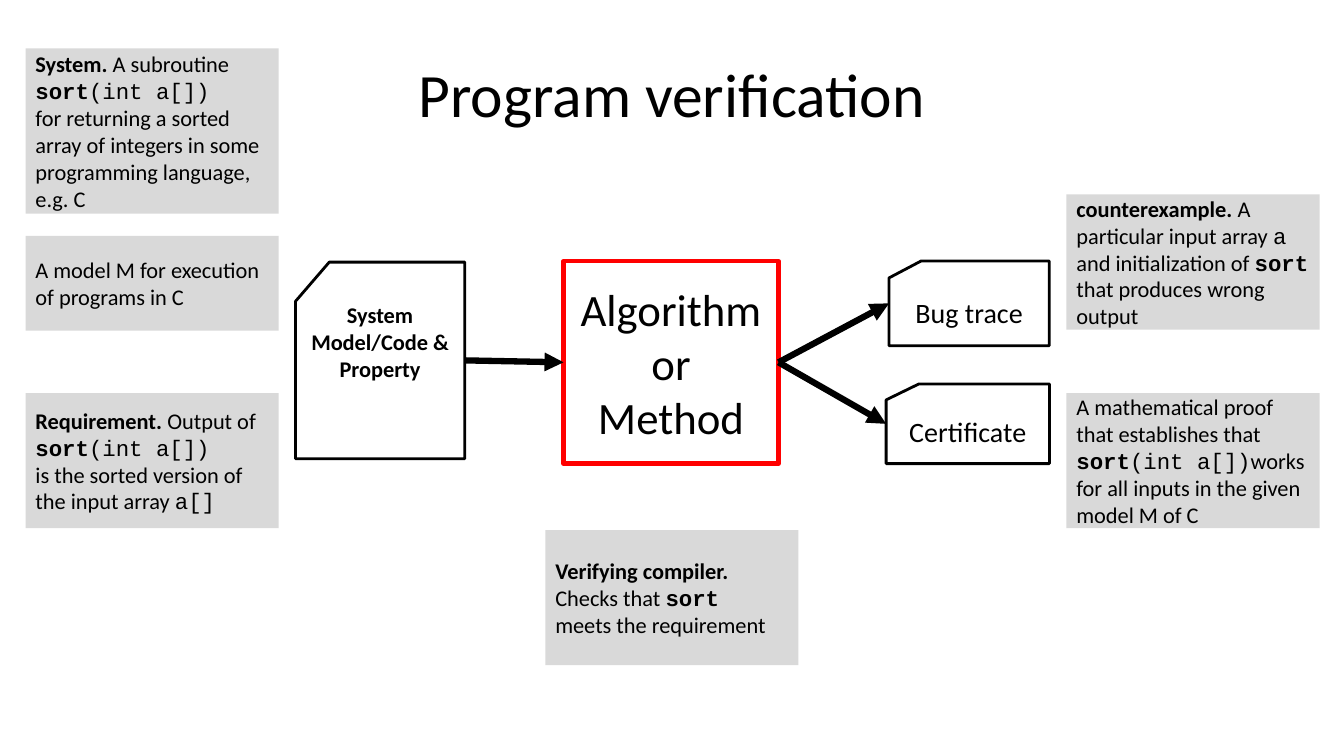
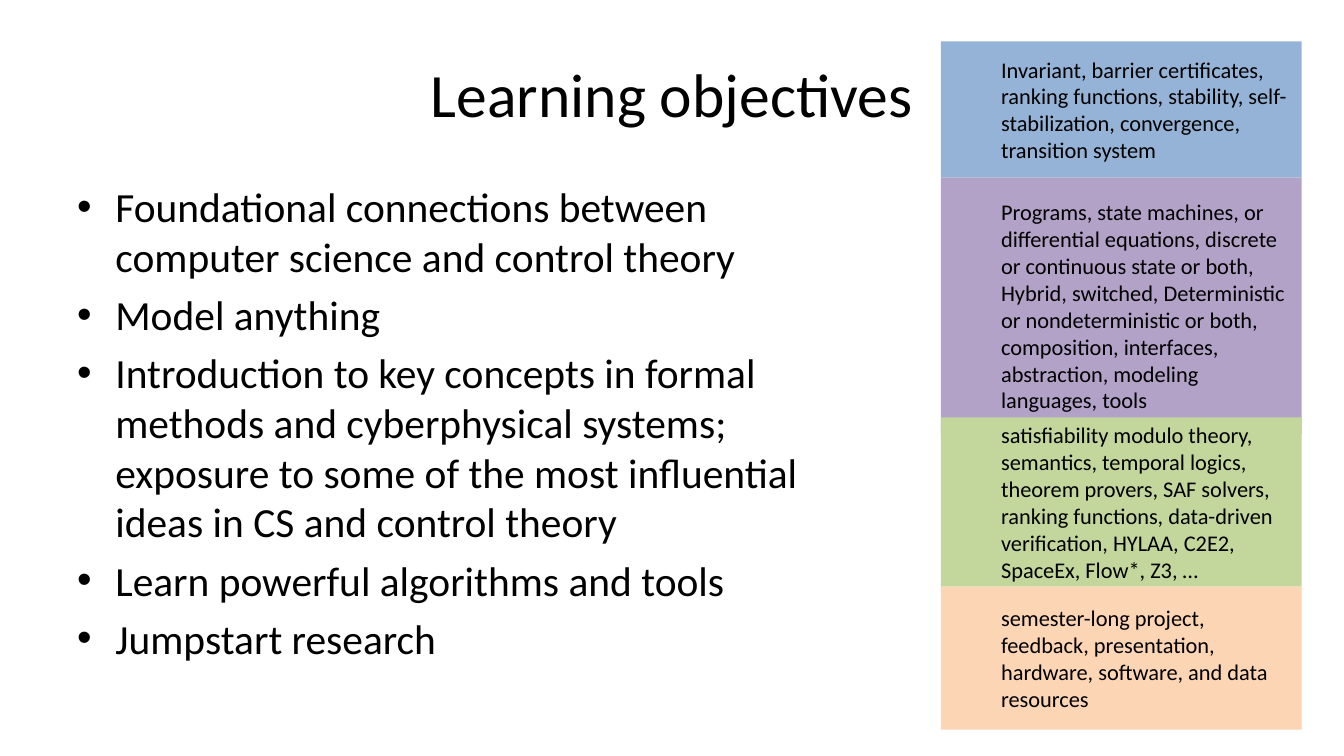
from pptx import Presentation
from pptx.dml.color import RGBColor
from pptx.enum.shapes import MSO_CONNECTOR, MSO_SHAPE
from pptx.enum.text import MSO_ANCHOR as ANCHOR, PP_ALIGN as ALIGN
from pptx.oxml.ns import qn
from pptx.util import Inches, Pt
from lxml.etree import SubElement

SLIDE_W, SLIDE_H = Inches(13.333), Inches(7.5)
COLORS = {"text": "000000", "line": "000000", "note": "D9D9D9", "method": "FF0000",
          "blue": "95B3D7", "purple": "B3A2C7", "green": "C3D69B", "orange": "FCD5B5"}
STYLES = {
    "plain": {"name": "Calibri", "bold": False},
    "bold": {"name": "Calibri", "bold": True},
    "code": {"name": "Courier New", "bold": False},
    "code bold": {"name": "Courier New", "bold": True},
}
SORT_CALL = [("sort", "code bold"), ("(int a[])", "code")]
LEFT, RIGHT, NOTE_W, NOTE_H, LOWER_ROW = 1.9, 79.35, 18.83, 17.87, 52
NOTES = [
    ((LEFT, 6.4, NOTE_W, 21.87), [
        [("System.", "bold"), (" A subroutine ", "plain"), *SORT_CALL],
        [("for returning a sorted array of integers in some programming language, e.g. C",
          "plain")]]),
    ((LEFT, 31.2, NOTE_W, 12.53), [
        [("A model M for execution of programs in C", "plain")]]),
    ((LEFT, LOWER_ROW, NOTE_W, NOTE_H), [
        [("Requirement.", "bold"), (" Output of ", "plain"), *SORT_CALL],
        [("is the sorted version of the input array ", "plain"), ("a[]", "code")]]),
    ((40.58, 70.13, NOTE_W, NOTE_H), [
        [("Verifying compiler. ", "bold"), ("Checks that ", "plain"),
         ("sort ", "code bold"), ("meets the requirement", "plain")]]),
    ((RIGHT, 25.73, NOTE_W, NOTE_H), [
        [("counterexample. ", "bold"), ("A particular input array ", "plain"),
         ("a", "code"), (" and initialization of ", "plain"), ("sort", "code bold"),
         (" that produces wrong output", "plain")]]),
    ((RIGHT, LOWER_ROW, NOTE_W, NOTE_H), [
        [("A mathematical proof that establishes that ", "plain"), *SORT_CALL,
         ("works for all inputs in the given model M of C", "plain")]]),
]
OBJECTIVES = [
    "Foundational connections between computer science and control theory",
    "Model anything",
    "Introduction to key concepts in formal methods and cyberphysical systems; "
    "exposure to some of the most influential ideas in CS and control theory",
    "Learn powerful algorithms and tools",
    "Jumpstart research",
]
TOPICS = [
    ("purple", 23.47, 34, "Programs, state machines, or differential equations, discrete or "
     "continuous state or both, Hybrid, switched, Deterministic or nondeterministic or both, "
     "composition, interfaces, abstraction, modeling languages, tools"),
    ("blue", 5.47, 18, "Invariant, barrier certificates, ranking functions, stability, "
     "self-stabilization, convergence, transition system"),
    ("green", 55.2, 22.4, "satisfiability modulo theory, semantics, temporal logics, theorem "
     "provers, SAF solvers, ranking functions, data-driven verification, HYLAA, C2E2, "
     "SpaceEx, Flow*, Z3, …"),
    ("orange", 77.6, 18.93, "semester-long project, feedback, presentation, hardware, "
     "software, and data resources"),
]


def rgb(key):
    """Return the named palette colour."""
    return RGBColor.from_string(COLORS[key])


def share(left, top, width, height):
    """Turn percentages of the slide into lengths."""
    return [round(pct * full / 100) for pct, full in
            zip((left, top, width, height), (SLIDE_W, SLIDE_H) * 2)]


def plain(text, style="plain"):
    """Wrap a text as a paragraph of one run."""
    return [(text, style)]


def write(sp, paragraphs, size, align=ALIGN.LEFT, anchor=ANCHOR.MIDDLE, **frame):
    """Fill a shape with paragraphs of styled runs."""
    tf = sp.text_frame
    for name, value in {"word_wrap": True, "vertical_anchor": anchor, **frame}.items():
        setattr(tf, name, value)
    for i, runs in enumerate(paragraphs):
        p = tf.paragraphs[0] if i == 0 else tf.add_paragraph()
        p.alignment = align
        for text, style in runs:
            r = p.add_run()
            r.text = text
            for name, value in {"size": Pt(size), **STYLES[style]}.items():
                setattr(r.font, name, value)
            r.font.color.rgb = rgb("text")
    return tf


def indent(p, left, first=0):
    """Set the left and first-line indents of a paragraph."""
    pPr = p._p.get_or_add_pPr()
    pPr.set("marL", str(Inches(left)))
    pPr.set("indent", str(Inches(first)))
    return pPr


def add_box(s, area, kind=MSO_SHAPE.RECTANGLE, fill=None, line=None, width=2):
    """Add a shape with an optional fill and outline."""
    sp = s.shapes.add_shape(kind, *share(*area))
    sp.shadow.inherit = False
    if fill:
        sp.fill.solid()
        sp.fill.fore_color.rgb = rgb(fill)
    else:
        sp.fill.background()
    if line:
        sp.line.color.rgb = rgb(line)
        sp.line.width = Pt(width)
    else:
        sp.line.fill.background()
    return sp


def add_card(s, area, text, size, style="plain", **layout):
    """Add an outlined card with a cut corner."""
    sp = add_box(s, area, MSO_SHAPE.FLOWCHART_CARD, line="line")
    write(sp, [plain(text, style)], size, ALIGN.CENTER, **layout)
    return sp


def add_arrow(s, source, target):
    """Join the right side of one shape to the left side of another."""
    c = s.shapes.add_connector(MSO_CONNECTOR.STRAIGHT, 0, 0, 0, 0)
    c.begin_connect(source, 3)
    c.end_connect(target, 1)
    c.line.color.rgb = rgb("line")
    c.line.width = Pt(4.5)
    SubElement(c.line._get_or_add_ln(), qn("a:tailEnd"), type="triangle")
    SubElement(c._element.spPr, qn("a:effectLst"))


def add_titled_slide(prs, title):
    """Add a blank slide with a centred title."""
    s = prs.slides.add_slide(prs.slide_layouts[6])
    sp = s.shapes.add_textbox(*share(5, 4, 90, 16.67))
    write(sp, [plain(title)], 44, ALIGN.CENTER)
    return s


def add_bullets(s, area, items, size):
    """Add a bulleted list."""
    sp = s.shapes.add_textbox(*share(*area))
    tf = write(sp, [plain(item) for item in items], size, anchor=ANCHOR.TOP)
    for i, p in enumerate(tf.paragraphs):
        pPr = indent(p, 0.38, -0.38)
        p.space_before = Pt(6 if i else 0)
        SubElement(pPr, qn("a:buFont"), typeface="Arial")
        SubElement(pPr, qn("a:buChar"), char="•")


def add_topic(s, fill, top, height, text):
    """Add one coloured strip of the topic column."""
    sp = add_box(s, (70, top, 26.85, height), fill=fill)
    tf = write(sp, [plain(text)], 16)
    indent(tf.paragraphs[0], 0.5)


def build_verification(prs):
    """Build the verification diagram with its notes."""
    s = add_titled_slide(prs, "Program verification")
    certificate = add_card(s, (65.93, 50.8, 12.15, 10.53), "Certificate", 20)
    system = add_card(s, (21.98, 34.67, 12.6, 26), "System Model/Code & Property", 16,
                      "bold", anchor=ANCHOR.TOP, margin_top=0)
    bug_trace = add_card(s, (66.15, 34.53, 11.93, 11.2), "Bug trace", 20)
    method = add_box(s, (41.93, 34.53, 16, 26.8), line="method", width=3)
    write(method, [plain("Algorithm"), plain("or Method")], 32, ALIGN.CENTER,
          margin_left=Inches(0.15), margin_right=Inches(0.15))
    for source, target in ((system, method), (method, bug_trace), (method, certificate)):
        add_arrow(s, source, target)
    for area, paragraphs in NOTES:
        write(add_box(s, area, fill="note"), paragraphs, 16)


def build_objectives(prs):
    """Build the objectives list with its topic column."""
    s = add_titled_slide(prs, "Learning objectives")
    add_bullets(s, (5, 23.33, 61.27, 66), OBJECTIVES, 29.6)
    for topic in TOPICS:
        add_topic(s, *topic)


def main():
    """Build and save the presentation."""
    prs = Presentation()
    prs.slide_width, prs.slide_height = SLIDE_W, SLIDE_H
    build_verification(prs)
    build_objectives(prs)
    prs.save("out.pptx")


if __name__ == "__main__":
    main()
